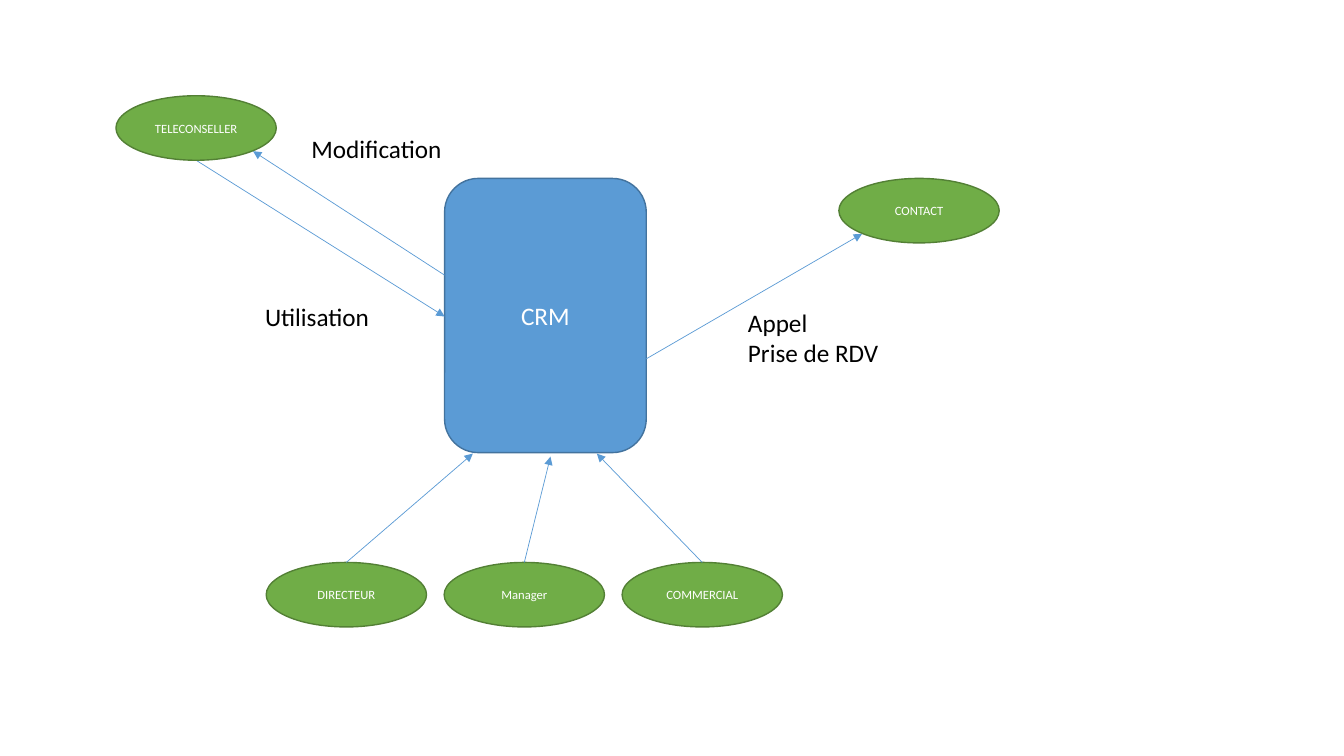
from dataclasses import dataclass

from lxml import etree
from pptx import Presentation
from pptx.dml.color import RGBColor
from pptx.enum import shapes, text
from pptx.oxml import ns
from pptx.util import Inches, Pt


@dataclass(frozen=True)
class Theme:
    font: str = "Calibri"
    hub: str = "5B9BD5"
    hub_line: str = "43739E"
    actor: str = "70AD47"
    actor_line: str = "538035"
    light: str = "FFFFFF"
    dark: str = "000000"
    large: float = 18
    small: float = 9
    outline: float = 1
    arrow: float = 0.5


THEME = Theme()
ACTOR_W, ACTOR_H = 1.59, 0.64


# Shared parts
def write(sp, lines, size, color, align, **frame):
    tf = sp.text_frame
    for name, value in frame.items():
        setattr(tf, name, value)
    for i, line in enumerate(lines):
        p = tf.paragraphs[0] if i == 0 else tf.add_paragraph()
        p.alignment = align
        r = p.add_run()
        r.text = line
        for name, value in {"name": THEME.font, "size": Pt(size)}.items():
            setattr(r.font, name, value)
        r.font.color.rgb = RGBColor.from_string(color)


def add_node(slide, kind, box, label, fill, line, size):
    sp = slide.shapes.add_shape(kind, *map(Inches, box))
    sp.shadow.inherit = False
    sp.fill.solid()
    sp.fill.fore_color.rgb = RGBColor.from_string(fill)
    sp.line.color.rgb = RGBColor.from_string(line)
    sp.line.width = Pt(THEME.outline)
    write(sp, [label], size, THEME.light, text.PP_ALIGN.CENTER,
          vertical_anchor=text.MSO_ANCHOR.MIDDLE, word_wrap=True)


def add_actor(slide, x, y, label):
    add_node(slide, shapes.MSO_SHAPE.OVAL, (x, y, ACTOR_W, ACTOR_H), label,
             THEME.actor, THEME.actor_line, THEME.small)


def add_arrow(slide, start, end):
    line = slide.shapes.add_connector(
        shapes.MSO_CONNECTOR.STRAIGHT, *map(Inches, (*start, *end)))
    line.line.color.rgb = RGBColor.from_string(THEME.hub)
    line.line.width = Pt(THEME.arrow)
    etree.SubElement(line.line._get_or_add_ln(), ns.qn("a:tailEnd"), type="triangle")
    etree.SubElement(line._element.spPr, ns.qn("a:effectLst"))


def add_label(slide, box, *lines):
    sp = slide.shapes.add_textbox(*map(Inches, box))
    write(sp, lines, THEME.large, THEME.dark, text.PP_ALIGN.LEFT,
          word_wrap=False, auto_size=text.MSO_AUTO_SIZE.SHAPE_TO_FIT_TEXT)


# Regions
def draw_crm(slide, box):
    add_node(slide, shapes.MSO_SHAPE.ROUNDED_RECTANGLE, box, "CRM",
             THEME.hub, THEME.hub_line, THEME.large)


def draw_adviser(slide, box):
    """Adviser at top left, exchanging with the right edge of the box."""
    x, y, w, h = box
    add_arrow(slide, (x + w, y + 1.78), (x + 1.36, y + 0.55))
    add_arrow(slide, (x + ACTOR_W / 2, y + ACTOR_H), (x + w, y + h))
    add_actor(slide, x, y, "TELECONSELLER")
    add_label(slide, (x + 1.84, y + 0.32, 1.51, 0.4), "Modification")
    add_label(slide, (x + 1.38, y + 1.99, 1.25, 0.4), "Utilisation")


def draw_contact(slide, box):
    """Contact at top right, called from the bottom left of the box."""
    x, y, w, h = box
    actor_x = x + w - ACTOR_W
    add_actor(slide, actor_x, y, "CONTACT")
    add_arrow(slide, (x, y + h), (actor_x + 0.23, y + 0.55))
    add_label(slide, (x + 0.91, y + 1.23, 1.51, 0.71), "Appel", "Prise de RDV")


def draw_staff(slide, box):
    """Evenly spaced staff along the bottom, pointing up to the hub."""
    x, y, w, h = box
    staff = [("DIRECTEUR", 2.05, 0), ("Manager", 2.82, 0.03), ("COMMERCIAL", 3.28, 0)]
    step = (w - ACTOR_W) / (len(staff) - 1)
    actor_y = y + h - ACTOR_H
    for i, (label, tip_x, tip_y) in enumerate(staff):
        left = x + i * step
        add_actor(slide, left, actor_y, label)
        add_arrow(slide, (left + ACTOR_W / 2, actor_y), (x + tip_x, y + tip_y))


prs = Presentation()
prs.slide_width, prs.slide_height = Inches(13.33), Inches(7.5)
slide = prs.slides.add_slide(prs.slide_layouts[6])

draw_crm(slide, (4.41, 1.77, 2, 2.72))
draw_adviser(slide, (1.15, 0.95, 3.26, 2.19))
draw_contact(slide, (6.41, 1.77, 3.5, 1.79))
draw_staff(slide, (2.64, 4.5, 5.12, 1.72))

prs.save("out.pptx")
